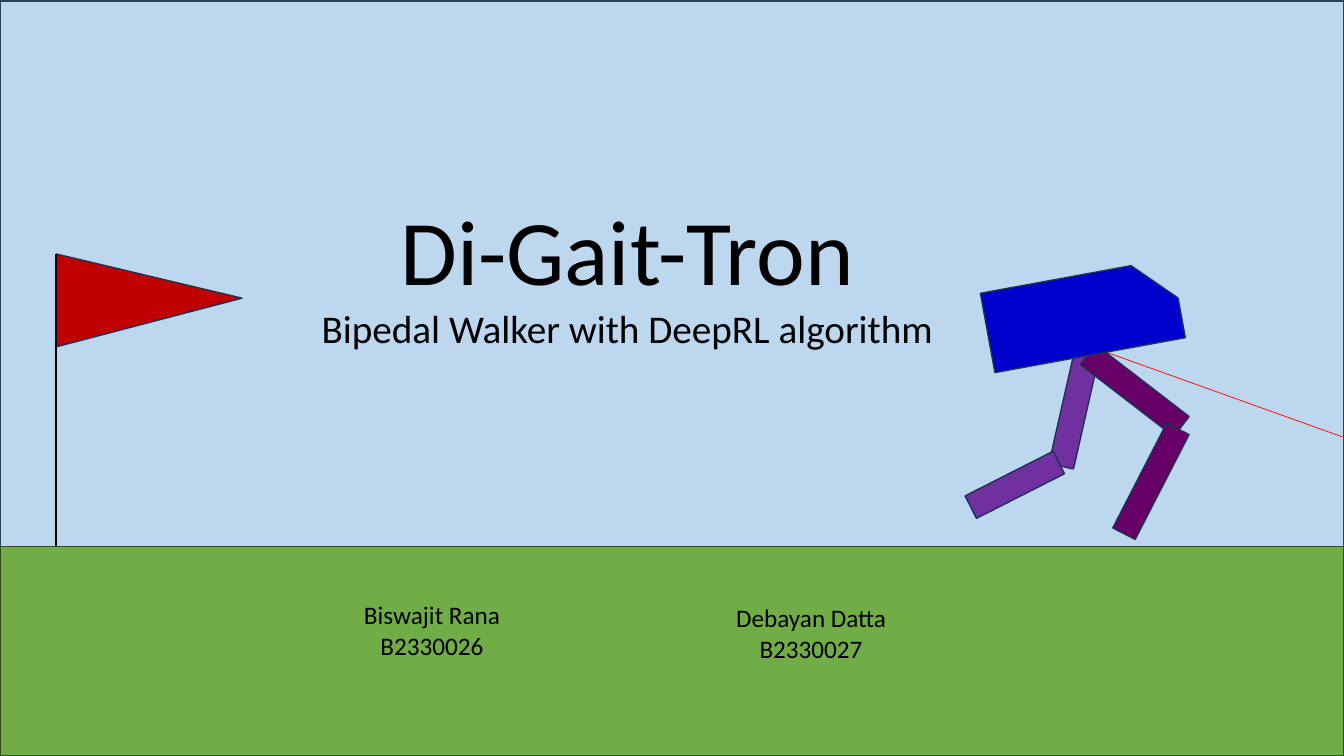
from lxml import etree
from pptx import Presentation
from pptx.dml.color import RGBColor
from pptx.enum.shapes import MSO_CONNECTOR, MSO_SHAPE
from pptx.enum.text import PP_ALIGN
from pptx.oxml.ns import qn
from pptx.util import Pt

EMU_PER_PX = 9144
SLIDE_WIDTH, SLIDE_HEIGHT = 1333, 750
HORIZON = 542
LEG_WIDTH = 25
FONT = "Calibri"

RECTANGLE = MSO_SHAPE.RECTANGLE
TRIANGLE = MSO_SHAPE.ISOSCELES_TRIANGLE
SNIPPED = MSO_SHAPE.SNIP_1_RECTANGLE
STRAIGHT = MSO_CONNECTOR.STRAIGHT
CENTER = PP_ALIGN.CENTER

SKY = RGBColor(0xBD, 0xD7, 0xEE)
SKY_EDGE = RGBColor(0x28, 0x44, 0x5D)
GRASS = RGBColor(0x70, 0xAD, 0x47)
GRASS_EDGE = RGBColor(0x31, 0x4C, 0x1F)
FLAG_RED = RGBColor(0xC0, 0x00, 0x00)
LIDAR_RED = RGBColor(0xFF, 0x00, 0x00)
HULL_BLUE = RGBColor(0x00, 0x00, 0xCC)
BACK_LEG = RGBColor(0x70, 0x30, 0xA0)
FRONT_LEG = RGBColor(0x66, 0x00, 0x66)
EDGE = RGBColor(0x1E, 0x32, 0x56)
BLACK = RGBColor(0x00, 0x00, 0x00)


def px(*lengths):
    return [length * EMU_PER_PX for length in lengths]


def add_block(slide, kind, box, fill, edge=EDGE, rotation=0, adjustment=None):
    shape = slide.shapes.add_shape(kind, *px(*box))
    shape.shadow.inherit = False
    shape.rotation = rotation
    shape.fill.solid()
    shape.fill.fore_color.rgb = fill
    shape.line.color.rgb = edge
    shape.line.width = Pt(1)
    if adjustment is not None:
        shape.adjustments[0] = adjustment


def add_leg(slide, left, top, length, color, rotation):
    add_block(slide, RECTANGLE, (left, top, LEG_WIDTH, length), color, rotation=rotation)


def add_line(slide, ends, color, width):
    connector = slide.shapes.add_connector(STRAIGHT, *px(*ends))
    connector.line.color.rgb = color
    connector.line.width = Pt(width)
    etree.SubElement(connector._element.spPr, qn("a:effectLst"))


def add_text(slide, box, lines):
    frame = slide.shapes.add_textbox(*px(*box)).text_frame
    frame.word_wrap = True
    frame.text = "\n".join(text for text, size in lines)
    for paragraph, (text, size) in zip(frame.paragraphs, lines):
        paragraph.alignment = CENTER
        paragraph.font.name = FONT
        paragraph.font.size = Pt(size)
        paragraph.font.color.rgb = BLACK


def main():
    presentation = Presentation()
    presentation.slide_width, presentation.slide_height = px(SLIDE_WIDTH, SLIDE_HEIGHT)
    slide = presentation.slides.add_slide(presentation.slide_layouts[6])

    add_block(slide, RECTANGLE, (0, 1, SLIDE_WIDTH, HORIZON), SKY, SKY_EDGE)
    add_leg(slide, 1053, 347, 117, BACK_LEG, 12.8)
    add_leg(slide, 1113, 329, 117, FRONT_LEG, 307.6)
    add_text(slide, (237, 187, 770, 168),
             [("Di-Gait-Tron", 66), ("Bipedal Walker with DeepRL algorithm", 28)])

    add_block(slide, TRIANGLE, (102, 206, 92, 184), FLAG_RED, rotation=90, adjustment=0.476)
    add_line(slide, (56, 252, 56, 621), BLACK, 1.5)
    add_block(slide, RECTANGLE, (0, HORIZON, SLIDE_WIDTH, SLIDE_HEIGHT - HORIZON),
              GRASS, GRASS_EDGE)

    add_leg(slide, 1129, 419, 117, FRONT_LEG, 27.2)
    add_leg(slide, 994, 432, 98, BACK_LEG, 63.1)
    add_line(slide, (1071, 340, SLIDE_WIDTH, 434), LIDAR_RED, 0.5)
    add_block(slide, SNIPPED, (978, 273, 192, 80), HULL_BLUE, rotation=349.6, adjustment=0.5)

    for left, top, name, roll_number in (
        (327, 590, "Biswajit Rana", "B2330026"),
        (703, 593, "Debayan Datta", "B2330027"),
    ):
        add_text(slide, (left, top, 203, 71), [(name, 18), (roll_number, 18)])

    presentation.save("out.pptx")


if __name__ == "__main__":
    main()
